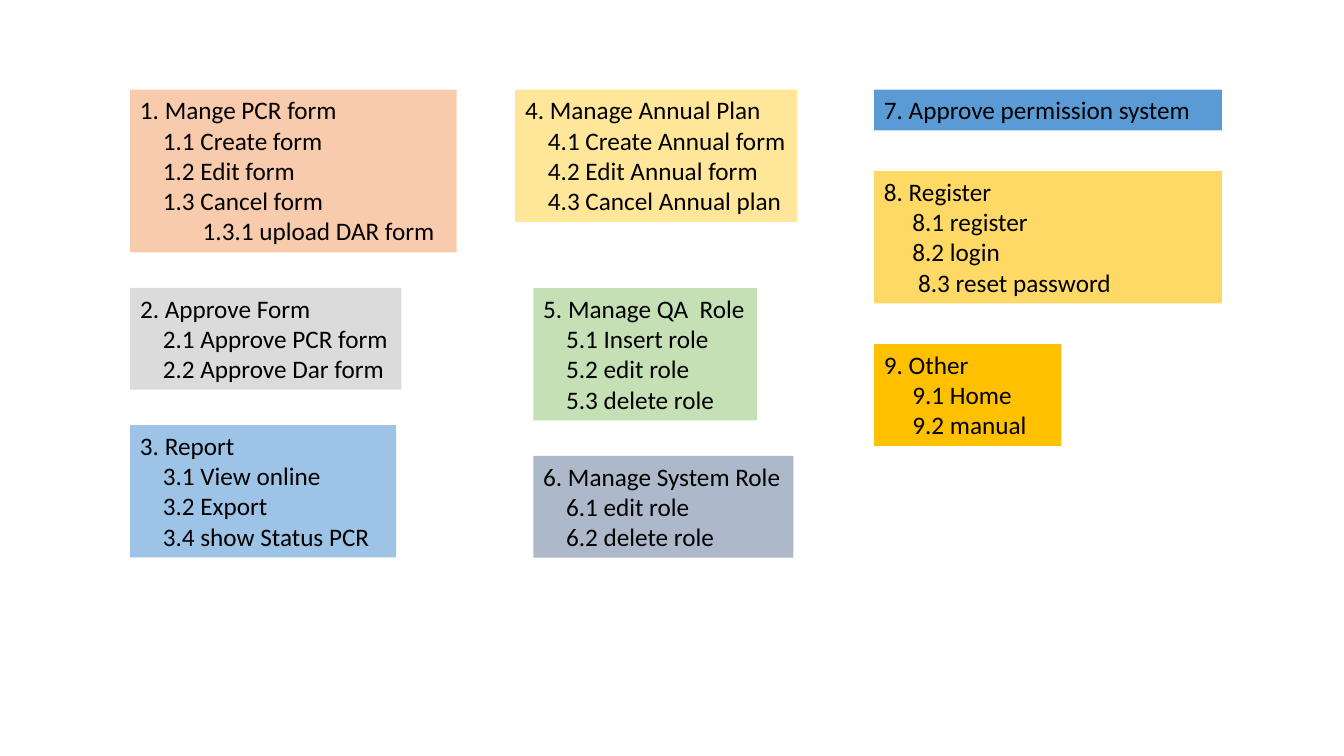
import pptx
import pptx.util
import pptx.dml.color
import pptx.enum.text

WIDE, HIGH = 13.33, 7.5
LINE, PAD = 4.04, 1.33
TOP, MID = 11.87, 38.13
INK = "000000"
HUES = {
    "PCR": "F8CBAD", "approve": "DBDBDB", "report": "9DC3E6",
    "plan": "FFE699", "QA": "C5E0B4", "system": "ADB9CA",
    "permit": "5B9BD5", "register": "FFD966", "other": "FFC000",
}
FONT = {"name": "Calibri", "size": pptx.util.Pt(18)}
FRAME = {"word_wrap": True, "auto_size": pptx.enum.text.MSO_AUTO_SIZE.NONE}

STACKS = [
    (9.68, TOP, 4.7, 16.3, [
        ("PCR", 24.3, "1. Mange PCR form",
         ["1.1 Create form", "1.2 Edit form", "1.3 Cancel form",
          (44.8, "1.3.1 upload DAR form")]),
        ("approve", 20.18, "2. Approve Form",
         ["2.1 Approve PCR form", "2.2 Approve Dar form"]),
        ("report", 19.8, "3. Report",
         ["3.1 View online", "3.2 Export", "3.4 show Status PCR"]),
    ]),
    (38.33, TOP, 0, 16.3, [
        ("plan", 21, "4. Manage Annual Plan",
         ["4.1 Create Annual form", "4.2 Edit Annual form",
          "4.3 Cancel Annual plan"]),
    ]),
    (39.68, MID, 4.7, 16.3, [
        ("QA", 16.65, "5. Manage QA  Role",
         ["5.1 Insert role", "5.2 edit role", "5.3 delete role"]),
        ("system", 19.35, "6. Manage System Role",
         ["6.1 edit role", "6.2 delete role"]),
    ]),
    (65.03, TOP, 5.4, 20.3, [
        ("permit", 25.88, "7. Approve permission system", []),
        ("register", 25.88, "8. Register",
         ["8.1 register", "8.2 login", (24.4, "8.3 reset password")]),
        ("other", 13.95, "9. Other", ["9.1 Home", "9.2 manual"]),
    ]),
]


def style(item, looks):
    for key, value in looks.items():
        setattr(item, key, value)


def color(code):
    return pptx.dml.color.RGBColor.from_string(code)


def across(share):
    return pptx.util.Inches(WIDE * share / 100)


def down(share):
    return pptx.util.Inches(HIGH * share / 100)


def write(para, text, indent):
    run = para.add_run()
    run.text = text
    style(run.font, FONT)
    run.font.color.rgb = color(INK)
    if indent:
        props = para._p.get_or_add_pPr()
        props.set("marL", str(int(pptx.util.Pt(indent))))
        props.set("indent", "0")


def box(slide, left, top, width, height, hue, lines):
    card = slide.shapes.add_textbox(
        across(left), down(top), across(width), down(height))
    card.fill.solid()
    card.fill.fore_color.rgb = color(HUES[hue])
    frame = card.text_frame
    style(frame, FRAME)
    for count, (indent, text) in enumerate(lines):
        para = frame.add_paragraph() if count else frame.paragraphs[0]
        write(para, text, indent)


def stack(slide, left, top, gap, step, cards):
    for hue, width, title, items in cards:
        lines = [(0, title)]
        for item in items:
            lines.append(item if isinstance(item, tuple) else (step, item))
        height = PAD + LINE * len(lines)
        box(slide, left, top, width, height, hue, lines)
        top += height + gap


def main():
    deck = pptx.Presentation()
    deck.slide_width = across(100)
    deck.slide_height = down(100)
    slide = deck.slides.add_slide(deck.slide_layouts[6])
    for group in STACKS:
        stack(slide, *group)
    deck.save("out.pptx")


main()
